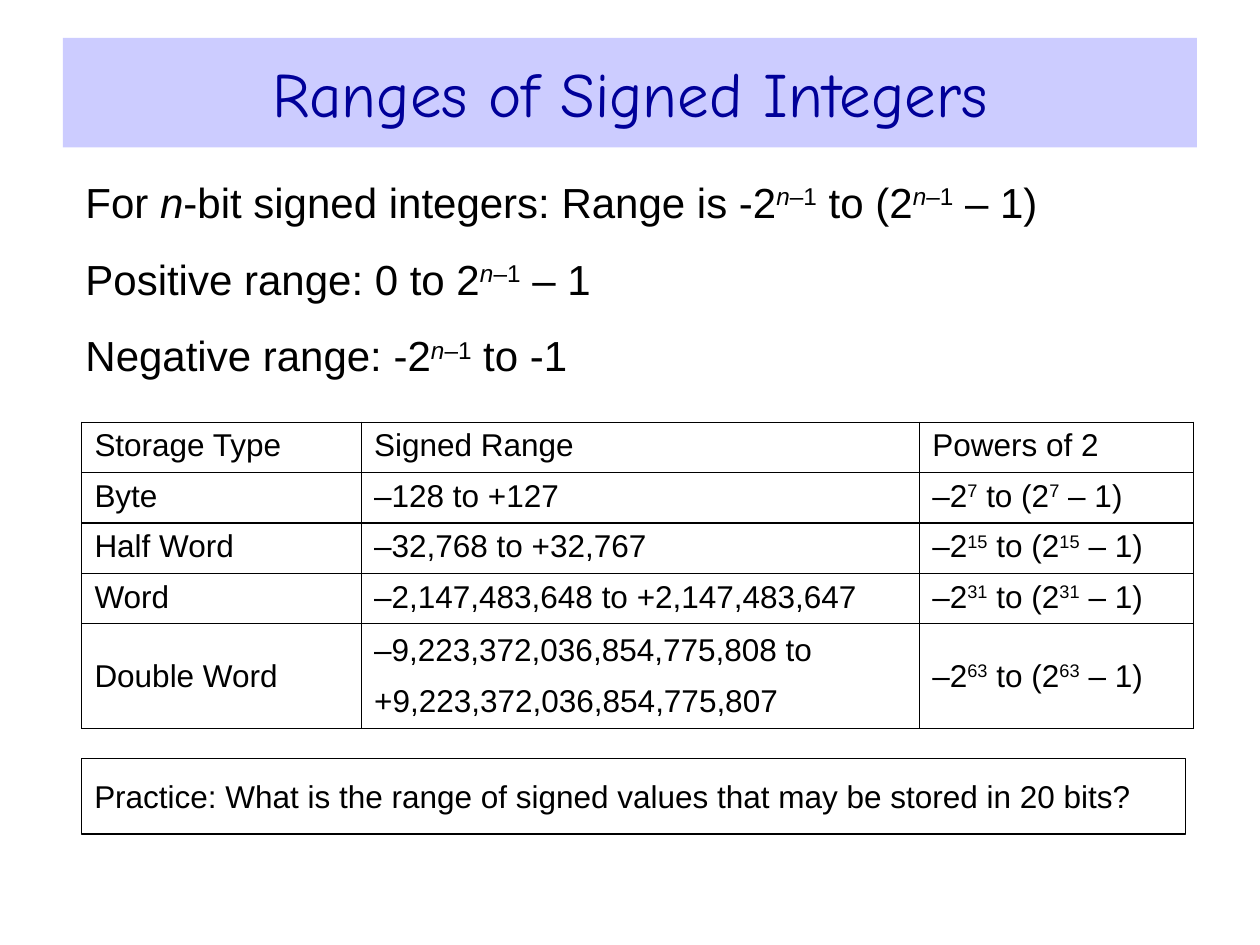
from lxml.etree import SubElement
from pptx import Presentation
from pptx.dml.color import RGBColor
from pptx.enum.shapes import MSO_SHAPE
from pptx.enum.text import MSO_ANCHOR, PP_ALIGN
from pptx.oxml.ns import qn
from pptx.util import Inches, Pt

COLORS = {"banner": "CCCCFF", "title": "000099", "ink": "000000"}


def write(frame, paragraphs, size, gap=0, font="Arial", color="ink"):
    frame.word_wrap = True
    for index, runs in enumerate(paragraphs):
        paragraph = frame.paragraphs[0] if index == 0 else frame.add_paragraph()
        paragraph.alignment = PP_ALIGN.LEFT
        if index:
            paragraph.space_before = Pt(gap)
        for text, style in runs:
            run = paragraph.add_run()
            run.text = text
            run.font.name = font
            run.font.size = Pt(size)
            run.font.color.rgb = RGBColor.from_string(COLORS[color])
            run.font.italic = "i" in style
            if "^" in style:
                run.font._element.set("baseline", "30000")


def add_border(cell):
    properties = cell._tc.get_or_add_tcPr()
    for side in ("lnL", "lnR", "lnT", "lnB"):
        line = SubElement(properties, qn(f"a:{side}"), w=str(Pt(0.75)))
        fill = SubElement(line, qn("a:solidFill"))
        SubElement(fill, qn("a:srgbClr"), val=COLORS["ink"])


presentation = Presentation()
presentation.slide_width = Inches(10)
presentation.slide_height = Inches(7.5)
slide = presentation.slides.add_slide(presentation.slide_layouts[6])

banner = slide.shapes.add_shape(
    MSO_SHAPE.RECTANGLE, Inches(0.5), Inches(0.3), Inches(9), Inches(0.87))
banner.shadow.inherit = False
banner.fill.solid()
banner.fill.fore_color.rgb = RGBColor.from_string(COLORS["banner"])
banner.line.fill.background()
banner.text_frame.vertical_anchor = MSO_ANCHOR.MIDDLE
write(banner.text_frame, [[("Ranges of Signed Integers", "")]], 36,
      font="Comic Neue", color="title")
banner.text_frame.paragraphs[0].alignment = PP_ALIGN.CENTER

power = [("n", "i^"), ("–1", "^")]
formulas = slide.shapes.add_textbox(
    Inches(0.58), Inches(1.25), Inches(8.83), Inches(1.92))
formulas.text_frame.margin_top = formulas.text_frame.margin_bottom = Inches(0.15)
write(formulas.text_frame, [
    [("For ", ""), ("n", "i"), ("-bit signed integers: Range is -2", ""), *power,
     (" to (2", ""), *power, (" – 1)", "")],
    [("Positive range: 0 to 2", ""), *power, (" – 1", "")],
    [("Negative range: -2", ""), *power, (" to -1", "")],
], 24, gap=15)

practice = slide.shapes.add_shape(
    MSO_SHAPE.RECTANGLE, Inches(0.65), Inches(6.02), Inches(8.76), Inches(0.6))
practice.shadow.inherit = False
practice.fill.background()
practice.line.color.rgb = RGBColor.from_string(COLORS["ink"])
practice.line.width = Pt(0.75)
practice.text_frame.margin_top = practice.text_frame.margin_bottom = Inches(0.15)
practice.text_frame.vertical_anchor = MSO_ANCHOR.TOP
write(practice.text_frame, [[(
    "Practice: What is the range of signed values that may be stored in 20 bits?", "")]], 18)

storage_types = [
    ("Byte", ["–128 to +127"], "7"),
    ("Half Word", ["–32,768 to +32,767"], "15"),
    ("Word", ["–2,147,483,648 to +2,147,483,647"], "31"),
    ("Double Word", ["–9,223,372,036,854,775,808 to", "+9,223,372,036,854,775,807"], "63"),
]
rows = [[[[(heading, "")]] for heading in ("Storage Type", "Signed Range", "Powers of 2")]]
for name, limits, exponent in storage_types:
    rows.append([
        [[(name, "")]],
        [[(limit, "")] for limit in limits],
        [[("–2", ""), (exponent, "^"), (" to (2", ""), (exponent, "^"), (" – 1)", "")]],
    ])

ranges = slide.shapes.add_table(
    len(rows), 3, Inches(0.65), Inches(3.35), Inches(8.82), Inches(2.43)).table
ranges.first_row = False
ranges.horz_banding = False
for column, width in zip(ranges.columns, (2.22, 4.43, 2.17)):
    column.width = Inches(width)
for row, height, contents in zip(ranges.rows, [0.4] * 4 + [0.83], rows):
    row.height = Inches(height)
    for cell, paragraphs in zip(row.cells, contents):
        add_border(cell)
        cell.fill.background()
        cell.vertical_anchor = MSO_ANCHOR.MIDDLE if height > 0.4 else MSO_ANCHOR.TOP
        write(cell.text_frame, paragraphs, 18, gap=9)

presentation.save("out.pptx")
